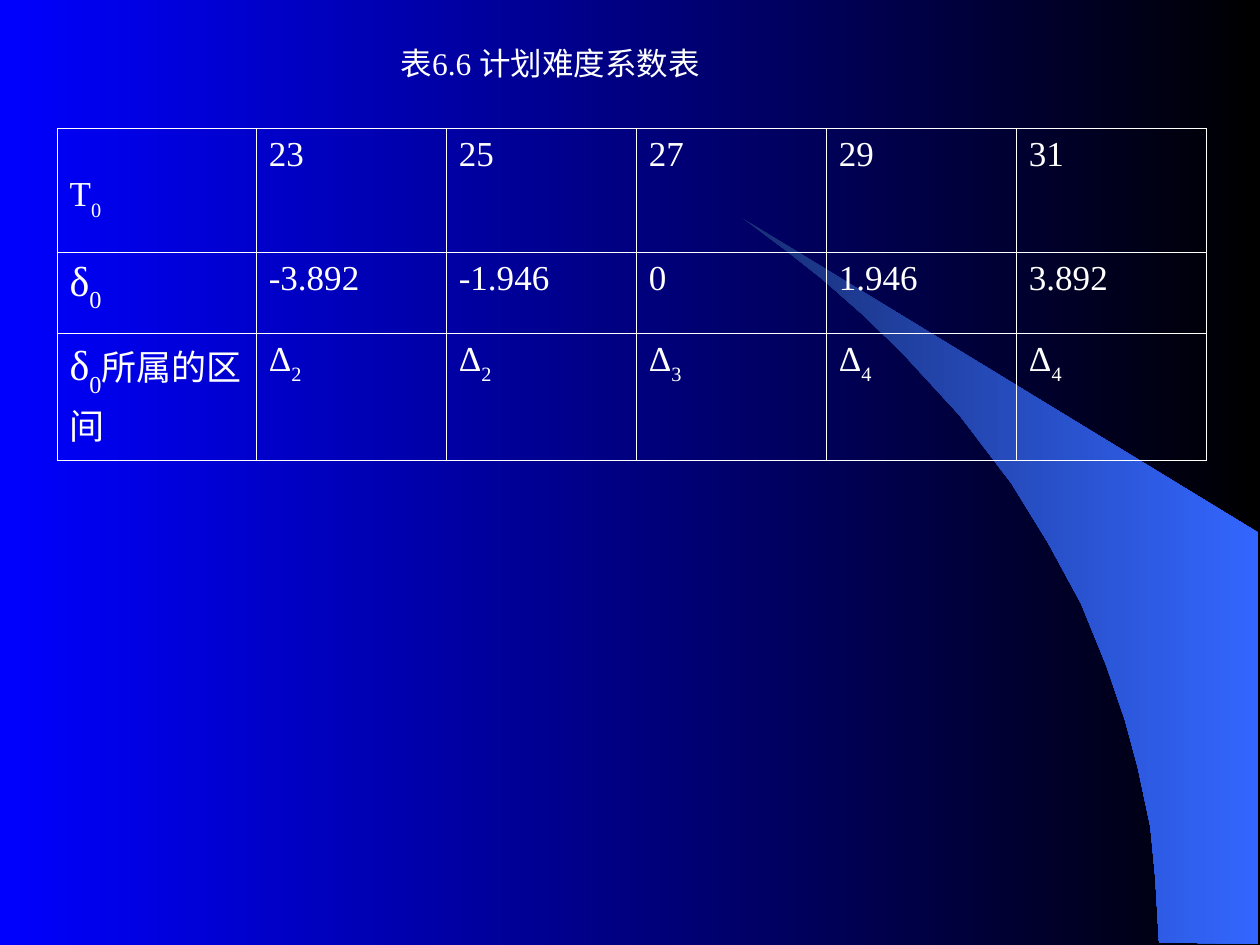
from dataclasses import dataclass

from lxml import etree
from pptx import Presentation
from pptx.dml.color import RGBColor
from pptx.enum.text import MSO_ANCHOR, MSO_AUTO_SIZE
from pptx.oxml.ns import qn
from pptx.util import Pt

MIDDLE = MSO_ANCHOR.MIDDLE
FIT_SHAPE = MSO_AUTO_SIZE.SHAPE_TO_FIT_TEXT
FONT = "Times New Roman"
COLORS = {
    "background_left": "0000FF",
    "background_right": "000000",
    "swoosh_left": "182F76",
    "swoosh_right": "3366FF",
    "text": "FFFFFF",
    "border": "FFFFFF",
}

# Swoosh outline, in points
SWOOSH = [
    (662.4, 538.6), (719.3, 539.3), (719.3, 304.6), (424.1, 124.6),
    (449.3, 143.3), (470.2, 159.8), (493.2, 180), (515.5, 201.6),
    (548.6, 237.6), (578.2, 276.5), (599, 310.3), (617.8, 344.9),
    (632.2, 380.2), (643, 411.8), (650.2, 438.5), (657.4, 472.3),
    (660.2, 501.1),
]

# Table grid, in points
TABLE_LEFT, TABLE_TOP = 32.6, 73.4
LABEL_WIDTH, VALUE_WIDTH = 113.8, 108.6
ROW_HEIGHTS = [71, 46.3, 72.7]
BORDER_WIDTH = 0.45


@dataclass
class Piece:
    text: str
    size: float = 20
    subscript: bool = False


@dataclass
class Entry:
    pieces: list[Piece]
    margin_top: float = 3.6


def plain(text: str) -> Entry:
    return Entry([Piece(text)])


def indexed(symbol: str, index: str, size: float = 20) -> list[Piece]:
    return [Piece(symbol, size), Piece(index, size, subscript=True)]


ROWS = [
    [Entry(indexed("T", "0"), margin_top=27)]
    + [plain(period) for period in ("23", "25", "27", "29", "31")],
    [Entry(indexed("δ", "0", 24))]
    + [plain(delta) for delta in ("-3.892", "-1.946", "0", "1.946", "3.892")],
    [Entry(indexed("δ", "0", 24) + [Piece("所属的区间")])]
    + [Entry(indexed("Δ", interval)) for interval in "22344"],
]


def set_gradient(fill, left: str, right: str) -> None:
    fill.gradient()
    fill.gradient_angle = 0
    for stop, name in zip(fill.gradient_stops, (left, right)):
        stop.color.rgb = RGBColor.from_string(COLORS[name])


def write(paragraph, pieces: list[Piece]) -> None:
    paragraph.font.name = FONT
    paragraph.font.color.rgb = RGBColor.from_string(COLORS["text"])
    sizes = {piece.size for piece in pieces}
    if len(sizes) == 1:
        paragraph.font.size = Pt(sizes.pop())
    for piece in pieces:
        run = paragraph.add_run()
        run.text = piece.text
        if paragraph.font.size is None:
            run.font.size = Pt(piece.size)
        if piece.subscript:
            run._r.get_or_add_rPr().set("baseline", "-30000")


def set_borders(cell) -> None:
    properties = cell._tc.get_or_add_tcPr()
    for position, side in enumerate(("a:lnL", "a:lnR", "a:lnT", "a:lnB")):
        line = etree.Element(qn(side), w=str(Pt(BORDER_WIDTH)))
        solid = etree.SubElement(line, qn("a:solidFill"))
        etree.SubElement(solid, qn("a:srgbClr"), val=COLORS["border"])
        properties.insert(position, line)


def draw_swoosh(slide) -> None:
    start, *rest = [(Pt(x), Pt(y)) for x, y in SWOOSH]
    builder = slide.shapes.build_freeform(*start)
    builder.add_line_segments(rest, close=True)
    swoosh = builder.convert_to_shape()
    swoosh.shadow.inherit = False
    set_gradient(swoosh.fill, "swoosh_left", "swoosh_right")
    swoosh.line.fill.background()


def draw_caption(slide) -> None:
    caption = slide.shapes.add_textbox(Pt(221.8), Pt(21.6), Pt(193.7), Pt(28.8))
    frame = caption.text_frame
    frame.word_wrap = False
    frame.auto_size = FIT_SHAPE
    frame.vertical_anchor = MIDDLE
    write(frame.paragraphs[0], [Piece("表6.6 计划难度系数表", 18)])


def draw_table(slide) -> None:
    widths = [LABEL_WIDTH] + [VALUE_WIDTH] * (len(ROWS[0]) - 1)
    table = slide.shapes.add_table(
        len(ROWS), len(widths), Pt(TABLE_LEFT), Pt(TABLE_TOP),
        Pt(sum(widths)), Pt(sum(ROW_HEIGHTS)),
    ).table
    table.first_row = False
    table.horz_banding = False
    for column, width in zip(table.columns, widths):
        column.width = Pt(width)
    for row, height, entries in zip(table.rows, ROW_HEIGHTS, ROWS):
        row.height = Pt(height)
        for cell, entry in zip(row.cells, entries):
            cell.fill.background()
            cell.margin_top = Pt(entry.margin_top)
            set_borders(cell)
            write(cell.text_frame.paragraphs[0], entry.pieces)


def main() -> None:
    presentation = Presentation()
    presentation.slide_width, presentation.slide_height = Pt(720), Pt(540)
    slide = presentation.slides.add_slide(presentation.slide_layouts[6])

    # Background and decoration
    set_gradient(slide.background.fill, "background_left", "background_right")
    draw_swoosh(slide)

    # Content
    draw_caption(slide)
    draw_table(slide)
    presentation.save("out.pptx")


if __name__ == "__main__":
    main()
